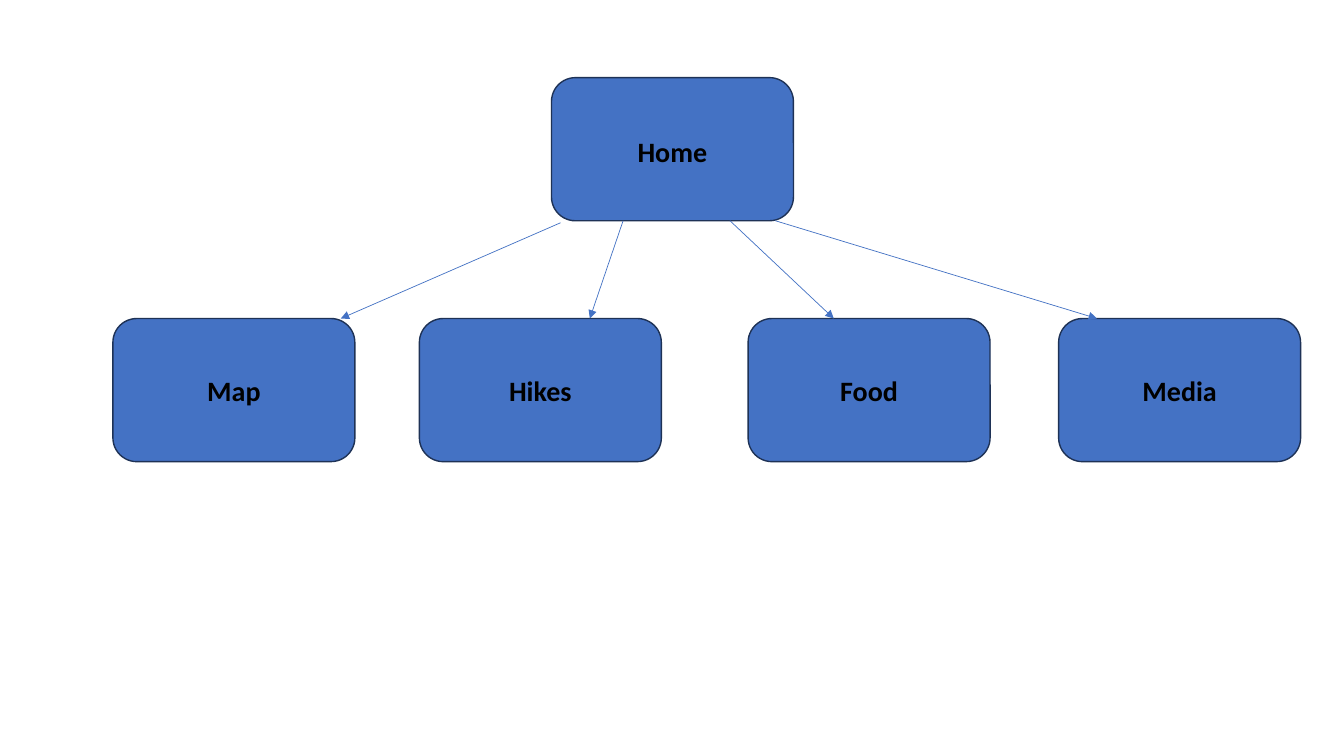
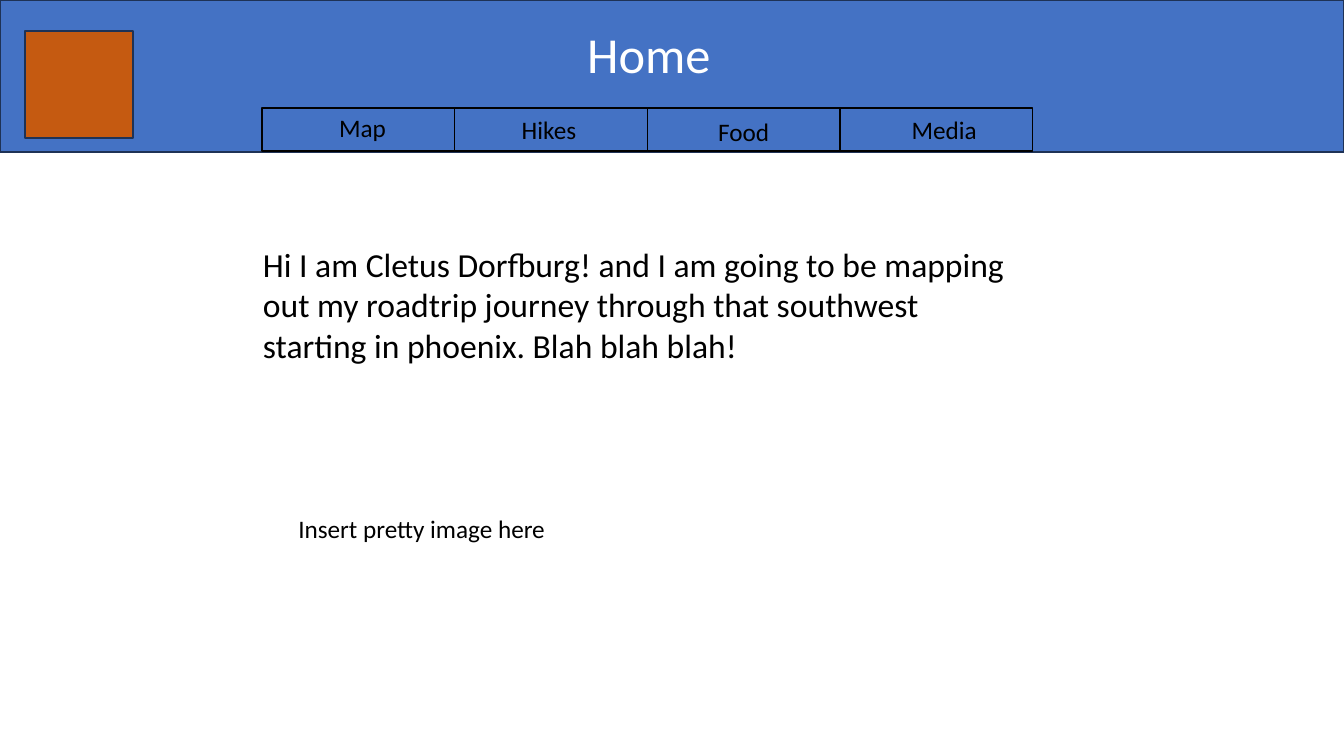
from lxml import etree
from pptx import Presentation
from pptx.dml.color import RGBColor
from pptx.enum.shapes import MSO_CONNECTOR, MSO_SHAPE
from pptx.enum.text import MSO_ANCHOR, PP_ALIGN
from pptx.oxml.ns import qn
from pptx.util import Inches, Pt

RECTANGLE = MSO_SHAPE.RECTANGLE
ROUNDED = MSO_SHAPE.ROUNDED_RECTANGLE
STRAIGHT = MSO_CONNECTOR.STRAIGHT
LEFT, CENTER = PP_ALIGN.LEFT, PP_ALIGN.CENTER
TOP, MIDDLE = MSO_ANCHOR.TOP, MSO_ANCHOR.MIDDLE

FONT = "Calibri"
COLORS = {
    "blue": "4472C4",
    "navy": "1E3256",
    "orange": "C55A11",
    "black": "000000",
    "white": "FFFFFF",
}
SLIDE_WIDTH, SLIDE_HEIGHT = 13.33, 7.5
INSET_X, INSET_Y = 0.1, 0.05


def color(name):
    return RGBColor.from_string(COLORS[name])


def write_text(frame, text, size, font_color="black", bold=False,
               align=CENTER, anchor=MIDDLE, shift=(0, 0)):
    """Fill a text frame; shift moves the text right and down in inches."""
    right, down = shift
    frame.margin_left = Inches(INSET_X + right)
    frame.margin_right = Inches(INSET_X - right)
    frame.margin_top = Inches(INSET_Y + down)
    frame.margin_bottom = Inches(INSET_Y - down)
    frame.vertical_anchor = anchor
    para = frame.paragraphs[0]
    para.alignment = align
    span = para.add_run()
    span.text = text
    span.font.name = FONT
    span.font.size = Pt(size)
    span.font.bold = bold
    span.font.color.rgb = color(font_color)


def add_box(page, kind, left, top, width, height, fill="blue", line="navy"):
    box = page.shapes.add_shape(kind, Inches(left), Inches(top),
                                Inches(width), Inches(height))
    box.shadow.inherit = False
    box.fill.solid()
    box.fill.fore_color.rgb = color(fill)
    box.line.color.rgb = color(line)
    box.line.width = Pt(1)
    return box


def add_label(page, left, top, width, height, text, size, wrap=True, **style):
    label = page.shapes.add_textbox(Inches(left), Inches(top),
                                    Inches(width), Inches(height))
    label.text_frame.word_wrap = wrap
    write_text(label.text_frame, text, size, anchor=TOP, **style)


def add_arrow(page, start, end):
    arrow = page.shapes.add_connector(
        STRAIGHT, *(Inches(value) for value in (*start, *end)))
    arrow.line.color.rgb = color("blue")
    arrow.line.width = Pt(0.5)
    line = arrow.line._get_or_add_ln()
    etree.SubElement(line, qn("a:tailEnd"), type="triangle")
    etree.SubElement(arrow._element.spPr, qn("a:effectLst"))


def add_node(page, left, top, text, shift=(0, 0)):
    box = add_box(page, ROUNDED, left, top, 2.4, 1.42)
    write_text(box.text_frame, text, 20, bold=True, shift=shift)


def build_site_map(page):
    # Home page and its four subpages
    child_top = 3.16
    add_node(page, 5.47, 0.77, "Home", shift=(0, 0.02))
    for left, name in ((1.12, "Map"), (4.16, "Hikes"),
                       (7.42, "Food"), (10.5, "Media")):
        add_node(page, left, child_top, name)

    # Arrows from home to each subpage
    for start, end_left in (((5.56, 2.21), 3.38), ((6.18, 2.19), 5.85),
                            ((7.24, 2.19), 8.27), ((7.69, 2.19), 10.88)):
        add_arrow(page, start, (end_left, child_top))


def build_home_page(page):
    # Header band with logo square and title
    add_box(page, RECTANGLE, 0, 0, SLIDE_WIDTH, 1.51)
    add_box(page, RECTANGLE, 0.25, 0.31, 1.07, 1.06, fill="orange")
    add_label(page, 4.07, 0.18, 4.73, 0.71, "Home", 36, font_color="white")

    # Navigation tabs
    tab_left, tab_width = 2.6, 1.91
    tabs = (("Map", (0.04, -0.02)), ("Hikes", (-0.02, 0)),
            ("Food", (0, 0.02)), ("Media", (0.08, 0)))
    for index, (name, shift) in enumerate(tabs):
        tab = add_box(page, RECTANGLE, tab_left + index * tab_width, 1.07,
                      tab_width, 0.43, line="black")
        write_text(tab.text_frame, name, 18, shift=shift)

    # Page body
    add_label(page, 2.51, 2.37, 7.58, 1.31,
              "Hi I am Cletus Dorfburg! and I am going to be mapping out my "
              "roadtrip journey through that southwest starting in phoenix. "
              "Blah blah blah!", 24, align=LEFT)
    add_label(page, 2.86, 5.04, 2.68, 0.4, "Insert pretty image here", 18,
              wrap=False, align=LEFT)


def main():
    deck = Presentation()
    deck.slide_width = Inches(SLIDE_WIDTH)
    deck.slide_height = Inches(SLIDE_HEIGHT)
    blank = deck.slide_layouts[6]
    for build in (build_site_map, build_home_page):
        build(deck.slides.add_slide(blank))
    deck.save("out.pptx")


if __name__ == "__main__":
    main()
